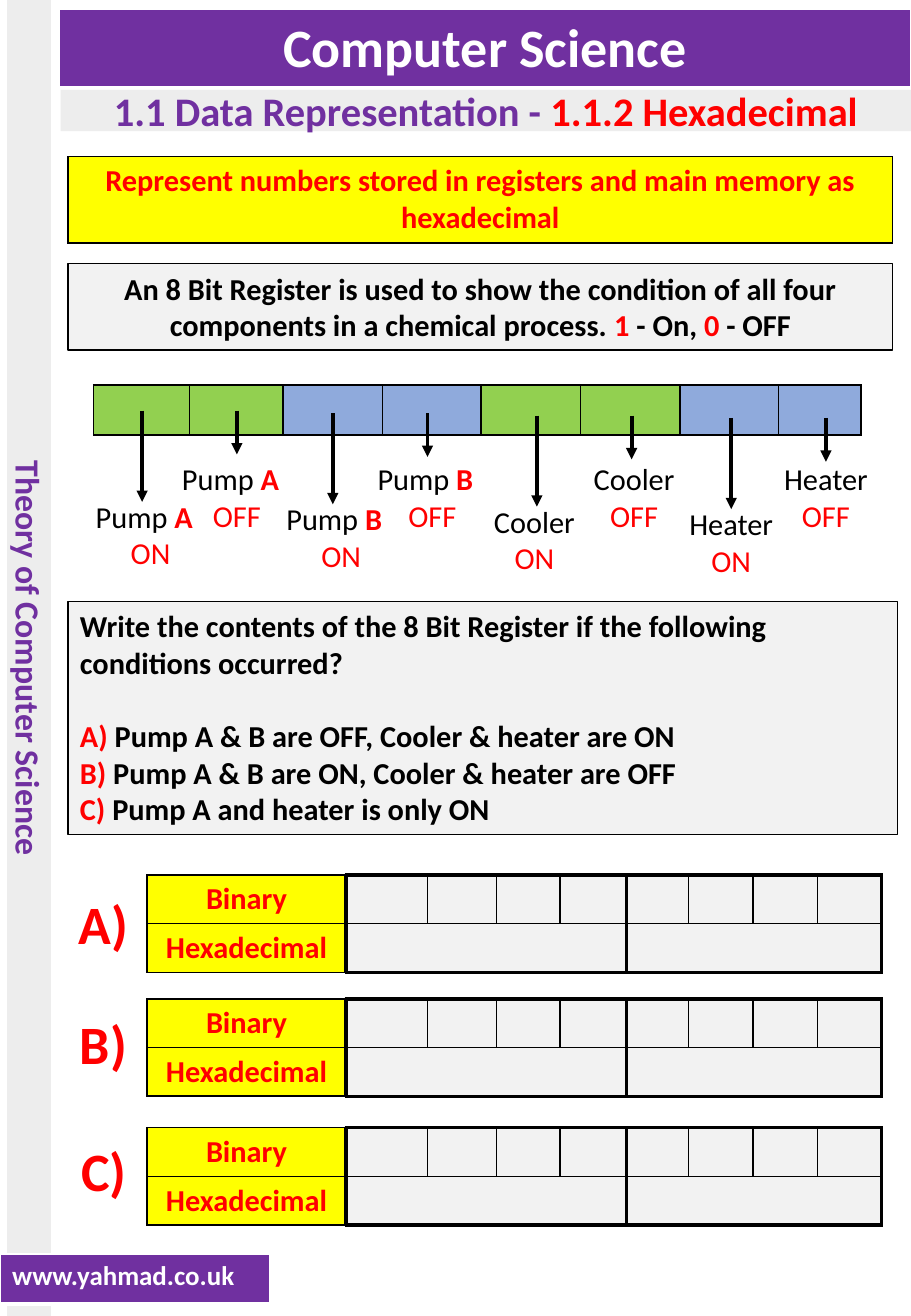
from pptx import Presentation
from pptx.dml.color import RGBColor
from pptx.enum.shapes import MSO_CONNECTOR, MSO_SHAPE
from pptx.enum.text import MSO_ANCHOR, MSO_AUTO_SIZE, PP_ALIGN
from pptx.oxml.ns import qn
from pptx.util import Inches, Pt
from lxml.etree import SubElement

COLOURS = {
    "black": "000000", "white": "FFFFFF", "red": "FF0000", "purple": "7030A0",
    "yellow": "FFFF00", "green": "92D050", "blue": "8FAADC",
    "pale": "F2F2F2", "grey": "EDEDED",
}
EDGES = ("L", "R", "T", "B")
THIN, THICK = 1, 2.25
WHITE_EDGES = dict(zip(EDGES, (1, 1, 1, 3)))
THIN_EDGES = dict.fromkeys(EDGES, THIN)
REGISTER_WIDTHS = (0.79, 0.77, 0.82, 0.81, 0.82, 0.82, 0.81, 0.68)
ANSWER_WIDTHS = (1.64, 0.67, 0.57, 0.52, 0.55, 0.51, 0.53, 0.53, 0.53)
ARROW_LEFTS = (1.17, 1.95, 2.74, 3.52, 4.42, 5.2, 6.02, 6.8)
LABEL_LEFTS = (0.69, 1.4, 2.26, 3.01, 3.85, 4.67, 5.47, 6.25)
COMPONENTS = (("Pump ", "A"), ("Pump ", "B"), ("Cooler", ""), ("Heater", ""))
ANSWERS = (("A)", 0.55, 7.28, 7.2), ("B)", 0.56, 8.27, 8.22), ("C)", 0.57, 9.31, 9.28))


def colour(name):
    return RGBColor.from_string(COLOURS[name])


def paint(item, name):
    item.fill.solid()
    item.fill.fore_color.rgb = colour(name)


def write(frame, paragraphs, size=18, bold=True):
    for index, (align, spans) in enumerate(paragraphs):
        para = frame.paragraphs[0] if index == 0 else frame.add_paragraph()
        para.alignment = align
        for text, name, *weight in spans:
            span = para.add_run()
            span.text = text
            font_format = {"name": "Calibri", "size": Pt(size), "bold": weight[0] if weight else bold}
            for key, value in font_format.items():
                setattr(span.font, key, value)
            span.font.color.rgb = colour(name)


def add_panel(page, place, fill, paragraphs, size=18, outline=None, anchor=MSO_ANCHOR.TOP):
    panel = page.shapes.add_shape(MSO_SHAPE.RECTANGLE, *map(Inches, place))
    panel.shadow.inherit = False
    paint(panel, fill)
    if outline:
        panel.line.color.rgb = colour(outline)
        panel.line.width = Pt(0.75)
    else:
        panel.line.fill.background()
    panel.text_frame.vertical_anchor = anchor
    panel.text_frame.word_wrap = True
    write(panel.text_frame, paragraphs, size)
    return panel


def add_label(page, place, paragraphs, size=18, bold=False, wrap=True):
    box = page.shapes.add_textbox(*map(Inches, place))
    box.text_frame.word_wrap = wrap
    box.text_frame.auto_size = MSO_AUTO_SIZE.SHAPE_TO_FIT_TEXT
    write(box.text_frame, paragraphs, size, bold)


def add_arrow(page, left, top, length):
    ends = map(Inches, (left, top, left, top + length))
    arrow = page.shapes.add_connector(MSO_CONNECTOR.STRAIGHT, *ends)
    arrow.line.color.rgb = colour("black")
    arrow.line.width = Pt(2.25)
    SubElement(arrow.line._get_or_add_ln(), qn("a:tailEnd"), type="triangle")
    SubElement(arrow._element.spPr, qn("a:effectLst"))


def style_cell(cell, fill, edges, edge_colour="black"):
    properties = cell._tc.get_or_add_tcPr()
    for edge in EDGES:
        line = SubElement(properties, qn(f"a:ln{edge}"), w=str(Pt(edges[edge])))
        solid = SubElement(line, qn("a:solidFill"))
        SubElement(solid, qn("a:srgbClr"), val=COLOURS[edge_colour])
    paint(cell, fill)


def add_grid(page, left, top, widths, row_height, rows=1):
    place = map(Inches, (left, top, sum(widths), row_height * rows))
    grid = page.shapes.add_table(rows, len(widths), *place).table
    grid.first_row = grid.horz_banding = False
    for column, width in zip(grid.columns, widths):
        column.width = Inches(width)
    for row in grid.rows:
        row.height = Inches(row_height)
    return grid


def add_banner(page, place, fill, text, text_colour, size, align, edges, edge_colour):
    left, top, width, height = place
    cell = add_grid(page, left, top, [width], height).cell(0, 0)
    style_cell(cell, fill, edges, edge_colour)
    write(cell.text_frame, [(align, [(text, text_colour)])], size)


def add_register(page):
    register = add_grid(page, 0.77, 3.17, REGISTER_WIDTHS, 0.41)
    for index in range(8):
        pair, is_off = divmod(index, 2)
        style_cell(register.cell(0, index), "blue" if pair % 2 else "green", THIN_EDGES)
        shift = 0.02 * pair
        add_arrow(page, ARROW_LEFTS[index], 3.38 + shift, 0.36 if is_off else 0.75)
        name, letter = COMPONENTS[pair]
        spans = [(name, "black")] + ([(letter, "red", True)] if letter else [])
        align = PP_ALIGN.LEFT if letter else PP_ALIGN.CENTER
        state = (PP_ALIGN.CENTER, [("OFF" if is_off else "ON", "red")])
        top = 3.74 if is_off else 4.05 + shift
        add_label(page, (LABEL_LEFTS[index], top, 1.1, 0.71), [(align, spans), state])


def add_answer(page, letter, letter_left, letter_top, top):
    grid = add_grid(page, 1.21, top, ANSWER_WIDTHS, 0.4, 2)
    for first in (1, 5):
        grid.cell(1, first).merge(grid.cell(1, first + 3))
    for row, title in enumerate(("Binary", "Hexadecimal")):
        for column in range(9):
            cell = grid.cell(row, column)
            heavy = {
                "L": column in (1, 5),
                "R": column in (0, 4, 8) or cell.is_merge_origin,
                "T": column > 0 and row == 0,
                "B": column > 0 and row == 1,
            }
            edges = {edge: THICK if heavy[edge] else THIN for edge in EDGES}
            style_cell(cell, "pale" if column else "yellow", edges)
        write(grid.cell(row, 0).text_frame, [(PP_ALIGN.CENTER, [(title, "red")])])
    add_label(page, (letter_left, letter_top, 0.61, 0.64),
              [(PP_ALIGN.LEFT, [(letter, "red")])], 32, True, False)


def add_questions(page):
    questions = (
        ("A) ", "Pump A & B are OFF, Cooler & heater are ON"),
        ("B) ", "Pump A & B are ON, Cooler & heater are OFF"),
        ("C) ", "Pump A and heater is only ON"),
    )
    intro = "Write the contents of the 8 Bit Register if the following conditions occurred?"
    paragraphs = [(PP_ALIGN.LEFT, [(intro, "black")])]
    paragraphs += [(PP_ALIGN.LEFT, [(letter, "red"), (text, "black")]) for letter, text in questions]
    panel = add_panel(page, (0.56, 4.95, 6.83, 1.92), "pale", paragraphs, outline="black")
    panel.text_frame.paragraphs[1].space_before = Pt(22)


def main():
    deck = Presentation()
    deck.slide_width, deck.slide_height = Inches(7.5), Inches(10.83)
    page = deck.slides.add_slide(deck.slide_layouts[6])
    centre = PP_ALIGN.CENTER

    side = add_panel(page, (0.06, 0, 0.36, 10.83), "grey",
                     [(centre, [("Theory of Computer Science", "purple")])], 20,
                     anchor=MSO_ANCHOR.MIDDLE)
    side.text_frame._txBody.bodyPr.set("vert", "vert")
    add_banner(page, (0.49, 0.08, 7.01, 0.63), "purple", "Computer Science",
               "white", 32, centre, WHITE_EDGES, "white")
    add_banner(page, (0, 10.32, 2.22, 0.41), "purple", "www.yahmad.co.uk",
               "white", 16, PP_ALIGN.LEFT, WHITE_EDGES, "white")
    add_panel(page, (0.5, 0.74, 7, 0.34), "grey",
              [(centre, [("1.1 Data Representation - ", "purple"), ("1.1.2 Hexadecimal", "red")])],
              24, anchor=MSO_ANCHOR.MIDDLE)
    add_banner(page, (0.56, 1.29, 6.79, 0.7), "yellow",
               "Represent numbers stored in registers and main memory as hexadecimal",
               "red", 18, centre, THIN_EDGES, "black")
    add_panel(page, (0.56, 2.17, 6.79, 0.71), "pale", [(centre, [
        ("An 8 Bit Register is used to show the condition of all four "
         "components in a chemical process. ", "black"),
        ("1 ", "red"), ("- On, ", "black"), ("0", "red"), (" - OFF", "black"),
    ])], outline="black")
    add_register(page)
    add_questions(page)
    for answer in ANSWERS:
        add_answer(page, *answer)
    deck.save("out.pptx")


if __name__ == "__main__":
    main()
